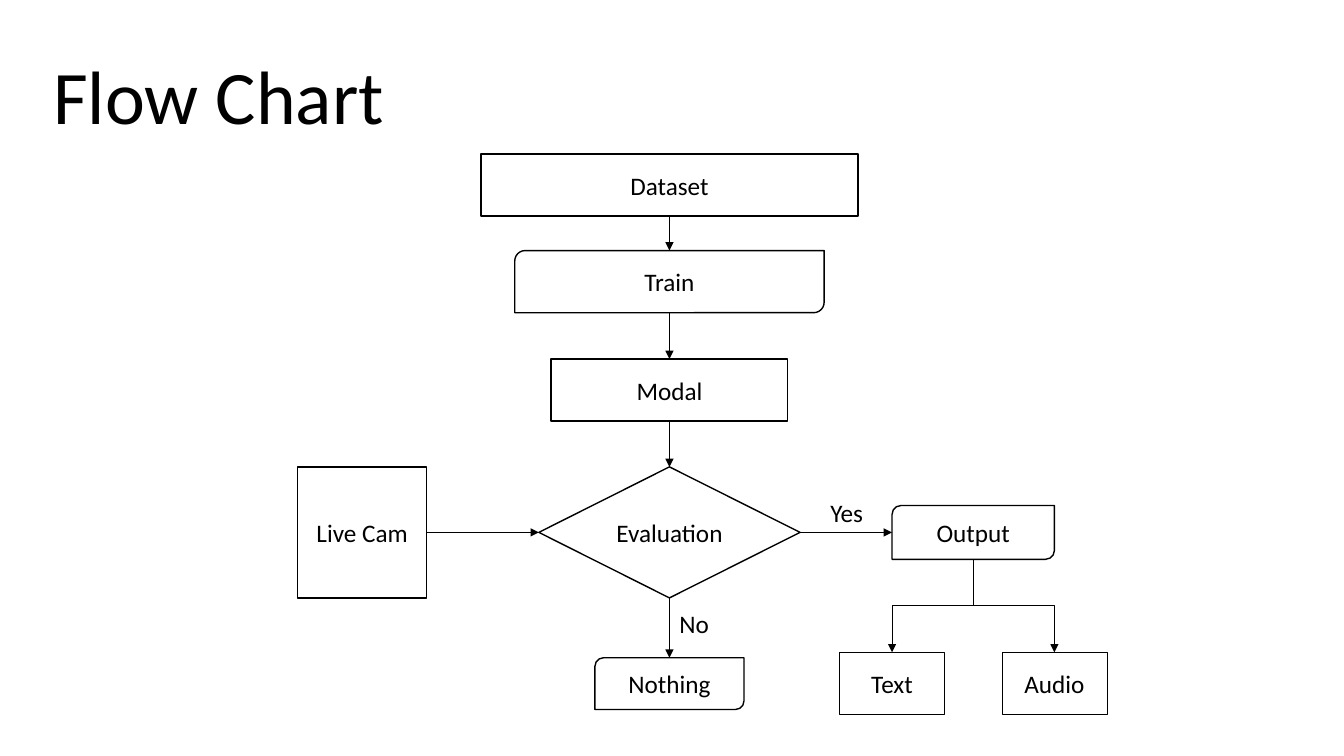
from lxml import etree
from pptx import Presentation
from pptx.dml.color import RGBColor
from pptx.enum import shapes, text
from pptx.oxml import ns
from pptx.util import Pt

BLACK = RGBColor(0, 0, 0)
WHITE = RGBColor(255, 255, 255)
RECTANGLE = shapes.MSO_SHAPE.RECTANGLE
ROUNDED = shapes.MSO_SHAPE.ROUND_2_DIAG_RECTANGLE
DIAMOND = shapes.MSO_SHAPE.DIAMOND
STRAIGHT = shapes.MSO_CONNECTOR.STRAIGHT
ELBOW = shapes.MSO_CONNECTOR.ELBOW

presentation = Presentation()
presentation.slide_width = Pt(960)
presentation.slide_height = Pt(540)
slide = presentation.slides.add_slide(presentation.slide_layouts[6])


def write(shape, wording, size=18, align=text.PP_ALIGN.LEFT,
          anchor=text.MSO_ANCHOR.TOP, wrap=True, spacing=None):
    frame = shape.text_frame
    frame.word_wrap = wrap
    frame.vertical_anchor = anchor
    paragraph = frame.paragraphs[0]
    paragraph.text = wording
    paragraph.alignment = align
    paragraph.line_spacing = spacing
    paragraph.font.name = "Calibri"
    paragraph.font.size = Pt(size)
    paragraph.font.color.rgb = BLACK


def add_arrow(kind, begin, end):
    arrow = slide.shapes.add_connector(kind, *begin, *end)
    arrow.line.color.rgb = BLACK
    arrow.line.width = Pt(0.5)
    etree.SubElement(arrow.line._get_or_add_ln(), ns.qn("a:tailEnd"), type="triangle")
    etree.SubElement(arrow._element.spPr, ns.qn("a:effectLst"))
    return arrow


# Boxes: name, preset, centre x, top, width, height
MAIN_AXIS, OUTPUT_AXIS, BRANCH_OFFSET = 478.2, 695.2, 58
boxes = {}
for name, preset, centre, top, width, height in [
    ("Dataset", RECTANGLE, MAIN_AXIS, 110, 269.5, 44.4),
    ("Train", ROUNDED, MAIN_AXIS, 179, 221, 44.4),
    ("Modal", RECTANGLE, MAIN_AXIS, 256.5, 169, 44.4),
    ("Live Cam", RECTANGLE, 258.7, 333.5, 92, 93.6),
    ("Evaluation", DIAMOND, MAIN_AXIS, 333.5, 186.6, 93.6),
    ("Nothing", ROUNDED, MAIN_AXIS, 469.8, 106.5, 37),
    ("Output", ROUNDED, OUTPUT_AXIS, 361.1, 116, 38.4),
    ("Text", RECTANGLE, OUTPUT_AXIS - BRANCH_OFFSET, 466, 75, 44.4),
    ("Audio", RECTANGLE, OUTPUT_AXIS + BRANCH_OFFSET, 466, 75, 44.4),
]:
    box = slide.shapes.add_shape(preset, Pt(centre - width / 2), Pt(top),
                                 Pt(width), Pt(height))
    box.shadow.inherit = False
    box.fill.solid()
    box.fill.fore_color.rgb = WHITE
    box.line.color.rgb = BLACK
    box.line.width = Pt(0.5 if name in ("Text", "Audio") else 1)
    write(box, name, align=text.PP_ALIGN.CENTER, anchor=text.MSO_ANCHOR.MIDDLE)
    boxes[name] = box

# Downward arrows along the main axis
column = ["Dataset", "Train", "Modal", "Evaluation", "Nothing"]
for upper, lower in zip(column, column[1:]):
    source = boxes[upper]
    add_arrow(STRAIGHT, (Pt(MAIN_AXIS), source.top + source.height),
              (Pt(MAIN_AXIS), boxes[lower].top))

# Rightward arrows through the decision
decision = boxes["Evaluation"]
middle = decision.top + decision.height // 2
row = ["Live Cam", "Evaluation", "Output"]
for left, right in zip(row, row[1:]):
    source = boxes[left]
    add_arrow(STRAIGHT, (source.left + source.width, middle),
              (boxes[right].left, middle))

# Branches below the output: elbows turned so that they leave downwards
output_bottom = boxes["Output"].top + boxes["Output"].height
drop = boxes["Text"].top - output_bottom
centre_y = output_bottom + drop // 2
for side, rotation in [(-1, 90), (1, 270)]:
    centre_x = Pt(OUTPUT_AXIS + side * BRANCH_OFFSET / 2)
    reach = side * drop // 2
    rise = Pt(BRANCH_OFFSET / 2)
    elbow = add_arrow(ELBOW, (centre_x + reach, centre_y - rise),
                      (centre_x - reach, centre_y + rise))
    elbow._element.spPr.find(ns.qn("a:xfrm")).set("rot", str(rotation * 60000))

# Branch labels
for name, left, top, width in [("No", 478.2, 431.2, 36), ("Yes", 586, 351.5, 38.2)]:
    label = slide.shapes.add_textbox(Pt(left), Pt(top), Pt(width), Pt(29))
    write(label, name, wrap=False)

# Title
title = slide.shapes.add_textbox(Pt(31), Pt(0), Pt(828), Pt(104.4))
write(title, "Flow Chart", size=54, anchor=text.MSO_ANCHOR.BOTTOM, spacing=0.9)

presentation.save("out.pptx")
